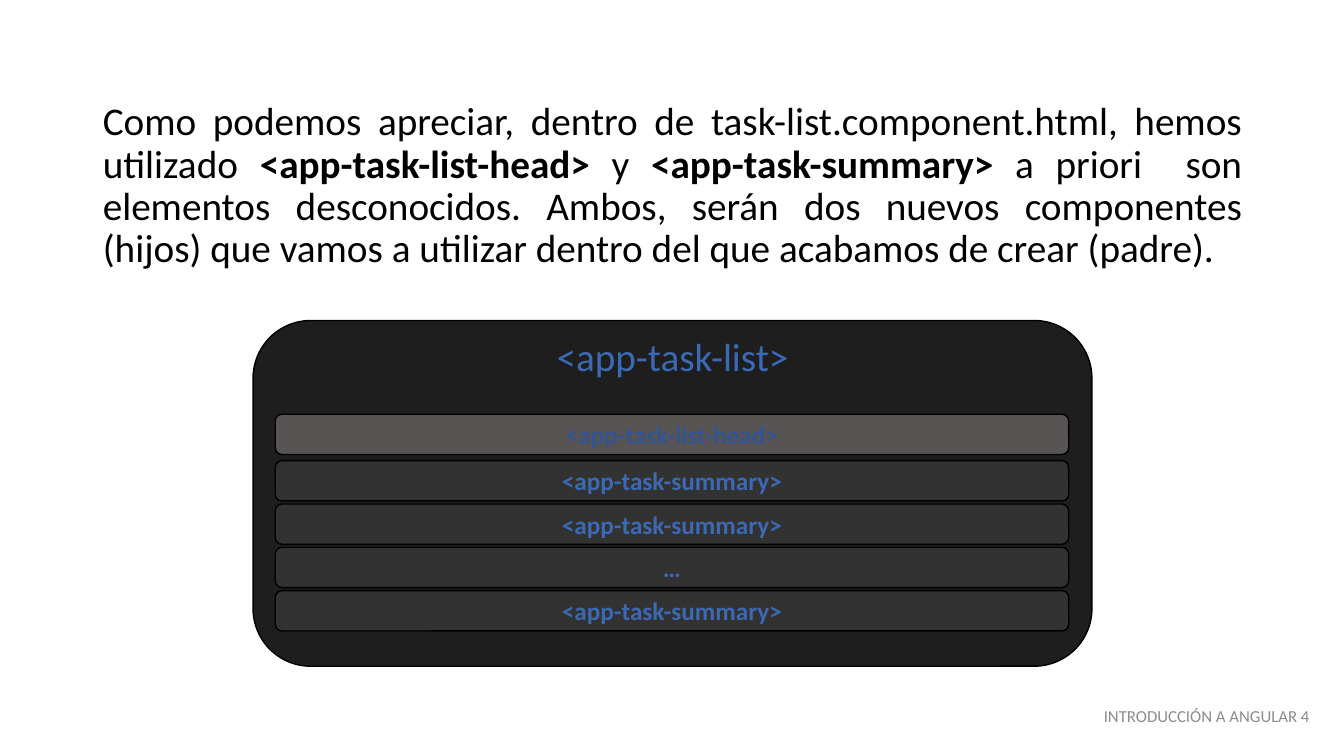
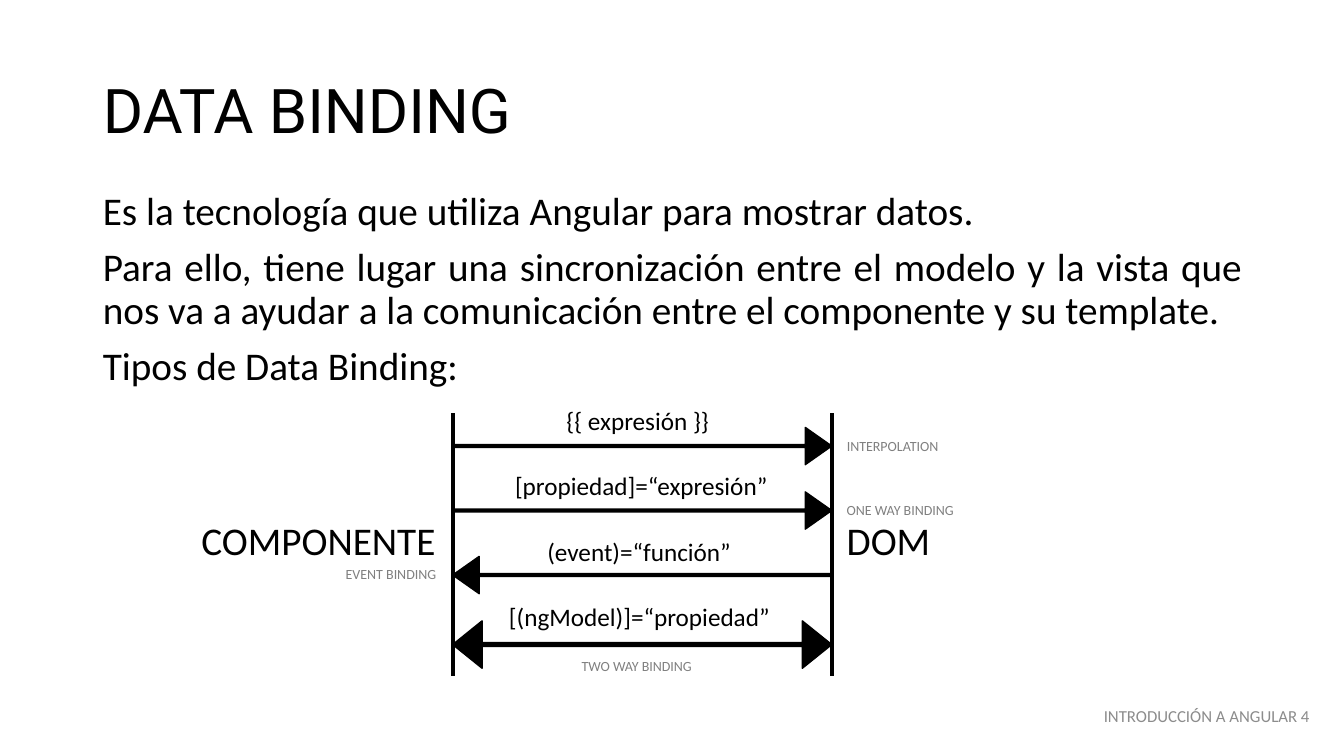
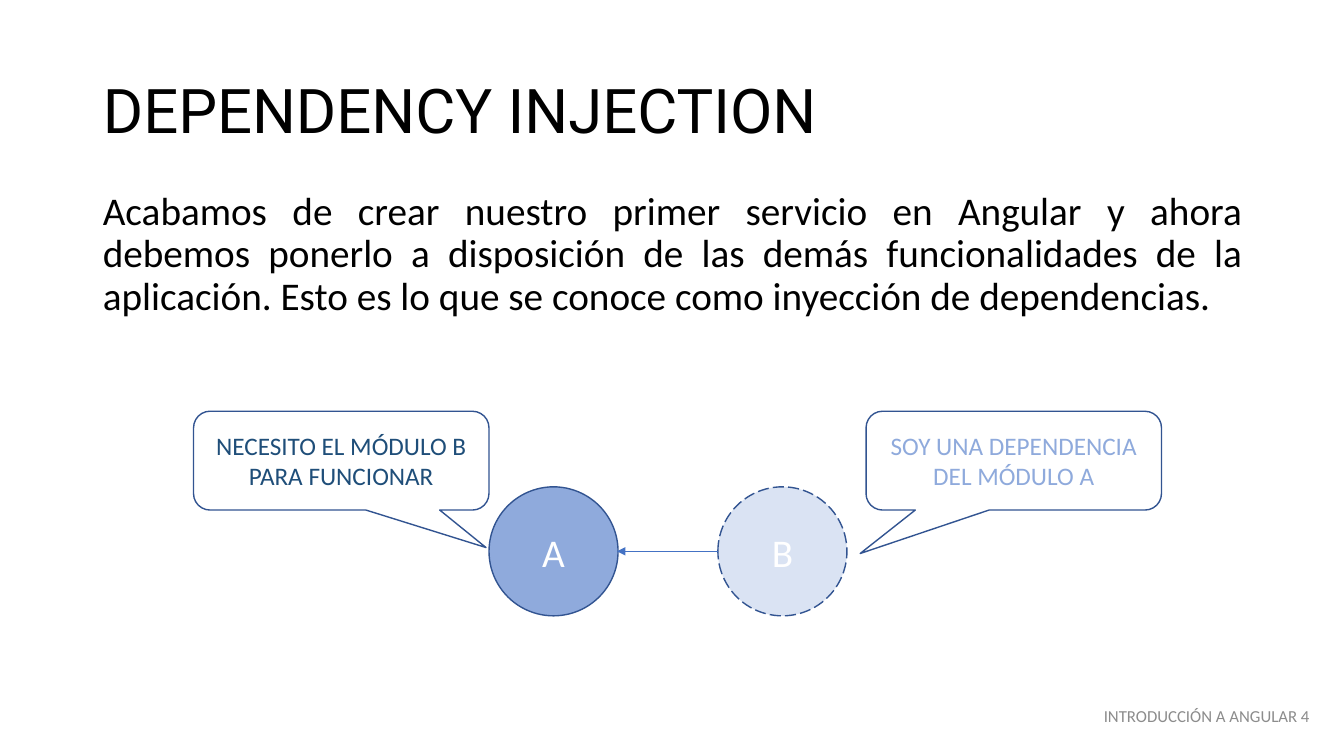
from lxml import etree
from pptx import Presentation
from pptx.dml.color import RGBColor
from pptx.enum.dml import MSO_LINE
from pptx.enum.shapes import MSO_CONNECTOR, MSO_SHAPE
from pptx.enum.text import MSO_ANCHOR, MSO_AUTO_SIZE, PP_ALIGN
from pptx.oxml.ns import qn
from pptx.util import Emu, Pt

PX = 9144  # EMU per px, 100 px to the inch
LEFT, CENTER, RIGHT, JUSTIFY = (
    PP_ALIGN.LEFT, PP_ALIGN.CENTER, PP_ALIGN.RIGHT, PP_ALIGN.JUSTIFY)
TOP, MIDDLE = MSO_ANCHOR.TOP, MSO_ANCHOR.MIDDLE
NO_FIT = MSO_AUTO_SIZE.NONE
ROUND, CIRCLE = MSO_SHAPE.ROUNDED_RECTANGLE, MSO_SHAPE.FLOWCHART_CONNECTOR
CALLOUT = MSO_SHAPE.ROUNDED_RECTANGULAR_CALLOUT
ARROW_RIGHT, ARROW_LEFT, ARROW_BOTH = (
    MSO_SHAPE.RIGHT_ARROW, MSO_SHAPE.LEFT_ARROW, MSO_SHAPE.LEFT_RIGHT_ARROW)
DASH = MSO_LINE.LONG_DASH
STRAIGHT = MSO_CONNECTOR.STRAIGHT

COLORS = {
    "white": "FFFFFF", "black": "000000", "footer": "8C8C8C", "gray": "808080",
    "panel": "1E1E1E", "head": "585454", "bar": "323232", "tag": "3C69B3",
    "outline": "325491", "arrow": "4472C4", "navy": "1F4E79",
    "blue": "8FAADC", "pale": "DAE3F3",
}
FOOTER = "INTRODUCCIÓN A ANGULAR 4"


def rgb(name):
    return RGBColor.from_string(COLORS[name])


def px(*lengths):
    return [Emu(n * PX) for n in lengths]


class Deck:
    """Holds the style and the current slide."""

    font, title_font = "Calibri", "Roboto"

    def __init__(self):
        self.prs = Presentation()
        self.prs.slide_width, self.prs.slide_height = px(1333, 750)
        self.s = None

    def slide(self, title=None):
        self.s = self.prs.slides.add_slide(self.prs.slide_layouts[1])
        sp = self.s.shapes.title
        if title:
            self.place(sp, 92, 40, 1150, 145)
            p = self.set_text(sp.text_frame, title, 44, "black", LEFT, MIDDLE,
                              font=self.title_font)
            p.line_spacing = 0.9
        else:
            sp.element.getparent().remove(sp.element)
        self.text(859, 690, 450, 40, FOOTER, 12, "footer", RIGHT, MIDDLE)

    def place(self, sp, *box):
        sp.left, sp.top, sp.width, sp.height = px(*box)

    def run(self, p, text, size, color, bold=False, font=None):
        r = p.add_run()
        r.text = text
        r.font.size = Pt(size)
        r.font.name = font or self.font
        r.font.bold = bold
        r.font.color.rgb = rgb(color)

    def set_text(self, tf, text, size, color, align, anchor, bold=False, font=None):
        tf.word_wrap = True
        tf.auto_size = NO_FIT
        tf.vertical_anchor = anchor
        p = tf.paragraphs[0]
        p.alignment = align
        self.run(p, text, size, color, bold, font)
        return p

    def body(self, y, h, *paragraphs):
        """Each paragraph is a list of runs; every second run is bold."""
        sp = self.s.placeholders[1]
        self.place(sp, 92, y, 1150, h)
        tf = sp.text_frame
        tf.auto_size = NO_FIT
        tf.vertical_anchor = TOP
        for i, runs in enumerate(paragraphs):
            p = tf.add_paragraph() if i else tf.paragraphs[0]
            p.alignment = JUSTIFY
            p.line_spacing = 0.9
            p.space_before = Pt(10)
            pPr = p._p.get_or_add_pPr()
            pPr.set("marL", "0")
            pPr.set("indent", "0")
            etree.SubElement(pPr, qn("a:buNone"))
            for j, text in enumerate(runs):
                self.run(p, text, 28, "black", bold=j % 2 == 1)

    def text(self, x, y, w, h, text, size, color="black", align=LEFT, anchor=TOP):
        sp = self.s.shapes.add_textbox(*px(x, y, w, h))
        self.set_text(sp.text_frame, text, size, color, align, anchor)

    def shape(self, kind, x, y, w, h, fill, line="black", adj=(), dash=None,
              text=None, size=18, color="white", bold=False):
        sp = self.s.shapes.add_shape(kind, *px(x, y, w, h))
        sp.shadow.inherit = False
        sp.fill.solid()
        sp.fill.fore_color.rgb = rgb(fill)
        sp.line.color.rgb = rgb(line)
        sp.line.width = Pt(1)
        if dash:
            sp.line.dash_style = dash
        for i, value in enumerate(adj):
            sp.adjustments[i] = value
        if text:
            self.set_text(sp.text_frame, text, size, color, CENTER, MIDDLE, bold)

    def line(self, x1, y1, x2, y2, color, width, arrow=False):
        c = self.s.shapes.add_connector(STRAIGHT, *px(x1, y1, x2, y2))
        c.line.color.rgb = rgb(color)
        c.line.width = Pt(width)
        spPr = c.element.spPr
        if arrow:
            etree.SubElement(spPr.find(qn("a:ln")), qn("a:tailEnd"),
                             type="triangle")
        etree.SubElement(spPr, qn("a:effectLst"))


def nested_components(d):
    d.slide()
    d.body(96, 183, [
        "Como podemos apreciar, dentro de task-list.component.html, hemos utilizado ",
        "<app-task-list-head>", " y ", "<app-task-summary>",
        " a priori  son elementos desconocidos. Ambos, serán dos nuevos componentes "
        "(hijos) que vamos a utilizar dentro del que acabamos de crear (padre)."])

    # Parent component
    d.shape(ROUND, 251, 318, 832, 343, "panel")
    d.text(251, 325, 832, 57, "<app-task-list>", 28, "tag", CENTER)

    # Child components
    d.shape(ROUND, 273, 411, 787, 40, "head", text="<app-task-list-head>",
            color="outline", bold=True)
    summary = "<app-task-summary>"
    for i, tag in enumerate([summary, summary, "…", summary]):
        d.shape(ROUND, 273, 457 + 43 * i, 787, 40, "bar", text=tag,
                color="tag", bold=True)


def data_binding(d):
    d.slide("DATA BINDING")
    d.body(185, 207,
           ["Es la tecnología que utiliza Angular para mostrar datos."],
           ["Para ello, tiene lugar una sincronización entre el modelo y la vista "
            "que nos va a ayudar a la comunicación entre el componente y su template."],
           ["Tipos de Data Binding:"])

    # The two sides
    for x in (449, 825):
        d.line(x, 410, x, 671, "black", 3)
    d.text(830, 507, 114, 57, "DOM", 28)
    d.text(190, 507, 263, 57, "COMPONENTE", 28)

    # Arrows with their syntax
    one_way, two_way = (37, (0.08, 0.71)), (47, (0.08, 0.62))
    bindings = [
        (ARROW_RIGHT, one_way, "{{ expresión }}", 552, 165),
        (ARROW_RIGHT, one_way, "[propiedad]=“expresión”", 501, 274),
        (ARROW_LEFT, one_way, "(event)=“función”", 533, 205),
        (ARROW_BOTH, two_way, "[(ngModel)]=“propiedad”", 495, 286),
    ]
    for i, (kind, (h, adj), syntax, x, w) in enumerate(bindings):
        d.shape(kind, 449, 424 + 64 * i, 376, h, "black", adj=adj)
        d.text(x, 397 + 65 * i, w, 40, syntax, 18)

    # Names of the bindings
    for x, y, w, name in [(830, 429, 129, "INTERPOLATION"),
                          (830, 493, 140, "ONE WAY BINDING"),
                          (333, 556, 121, "EVENT BINDING"),
                          (567, 647, 140, "TWO WAY BINDING")]:
        d.text(x, y, w, 27, name, 10, "gray")


def dependency_injection(d):
    d.slide("DEPENDENCY INJECTION")
    d.body(185, 169, [
        "Acabamos de crear nuestro primer servicio en Angular y ahora debemos ponerlo "
        "a disposición de las demás funcionalidades de la aplicación. Esto es lo que "
        "se conoce como inyección de dependencias."])

    # Modules
    d.shape(CIRCLE, 712, 483, 128, 128, "pale", "outline", dash=DASH,
            text="B", size=28)
    d.shape(CIRCLE, 485, 483, 128, 128, "blue", "outline", text="A", size=28)
    d.line(712, 547, 612, 547, "arrow", 0.5, arrow=True)

    # What each module says
    for x, tip, text, color in [
            (192, (0.49, 0.88), "NECESITO EL MÓDULO B PARA FUNCIONAR", "navy"),
            (859, (-0.52, 0.94), "SOY UNA DEPENDENCIA DEL MÓDULO A", "blue")]:
        d.shape(CALLOUT, x, 408, 293, 98, "white", "outline", adj=tip,
                text=text, color=color)


def main():
    d = Deck()
    nested_components(d)
    data_binding(d)
    dependency_injection(d)
    d.prs.save("out.pptx")


if __name__ == "__main__":
    main()
